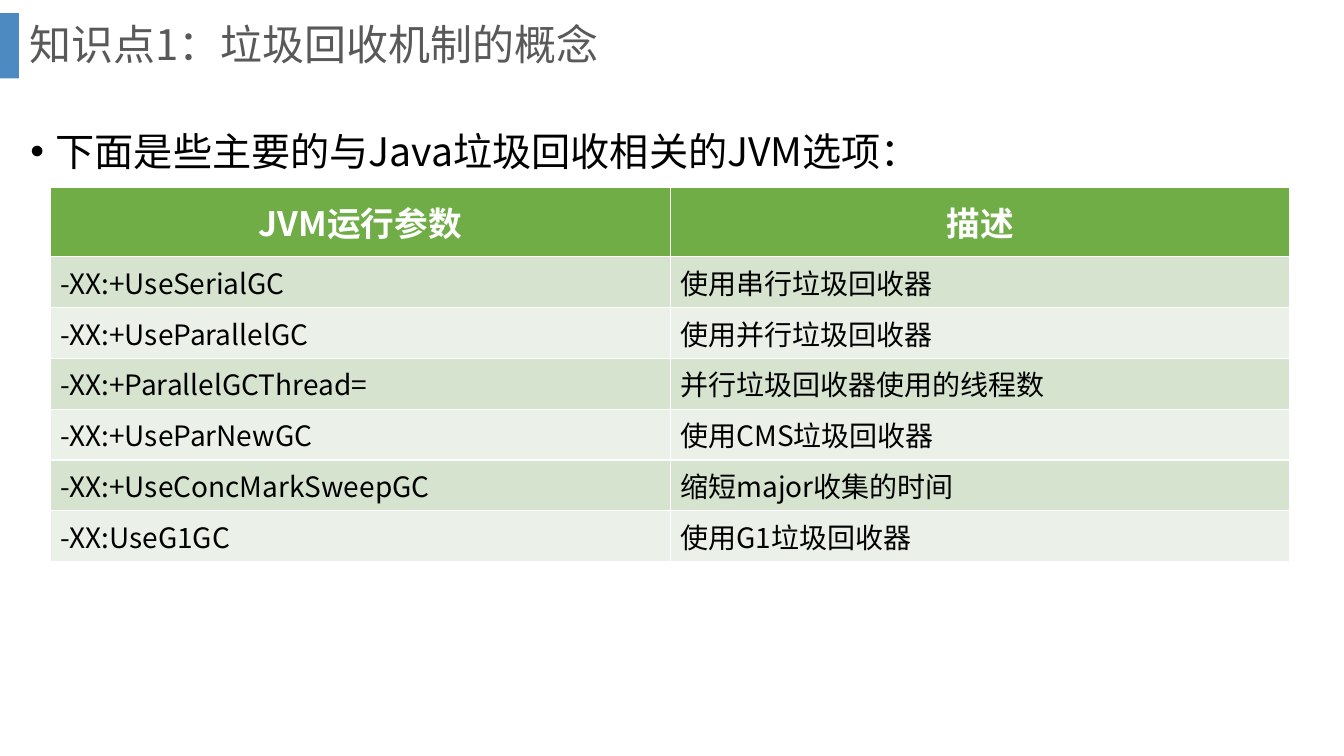
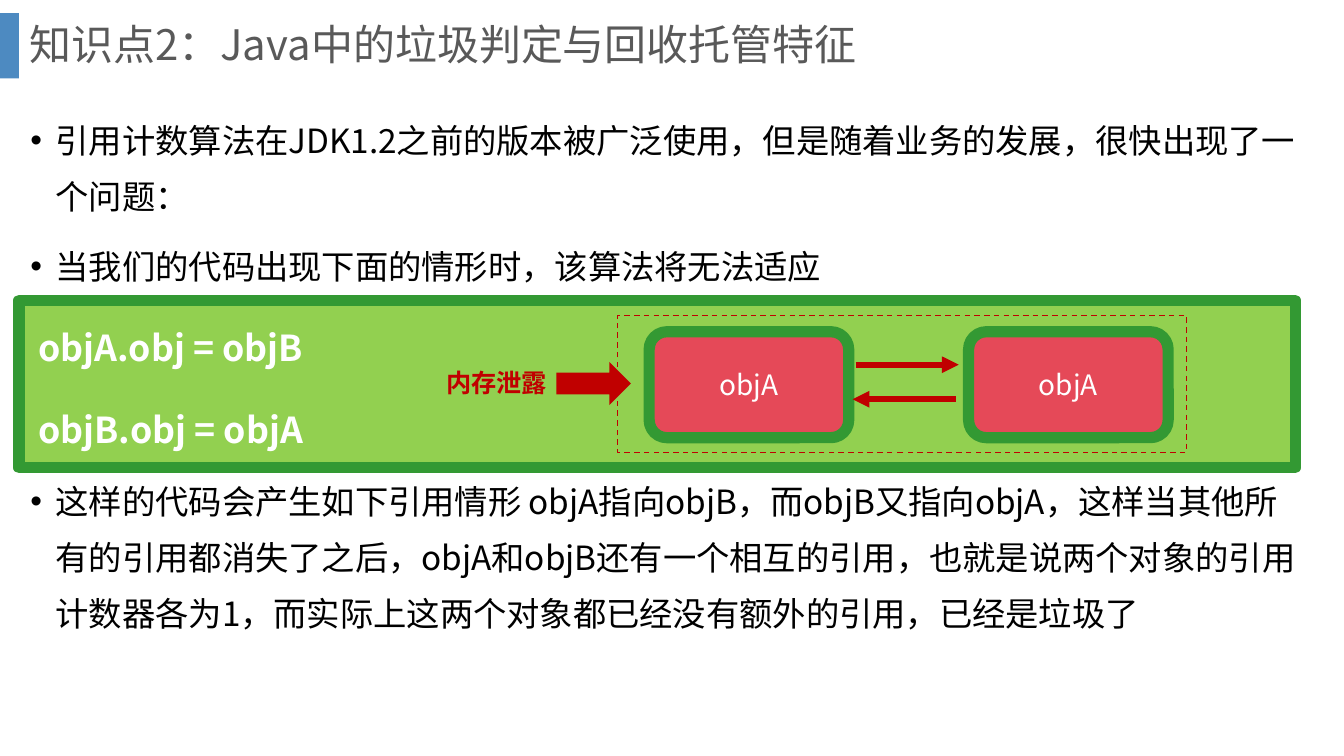
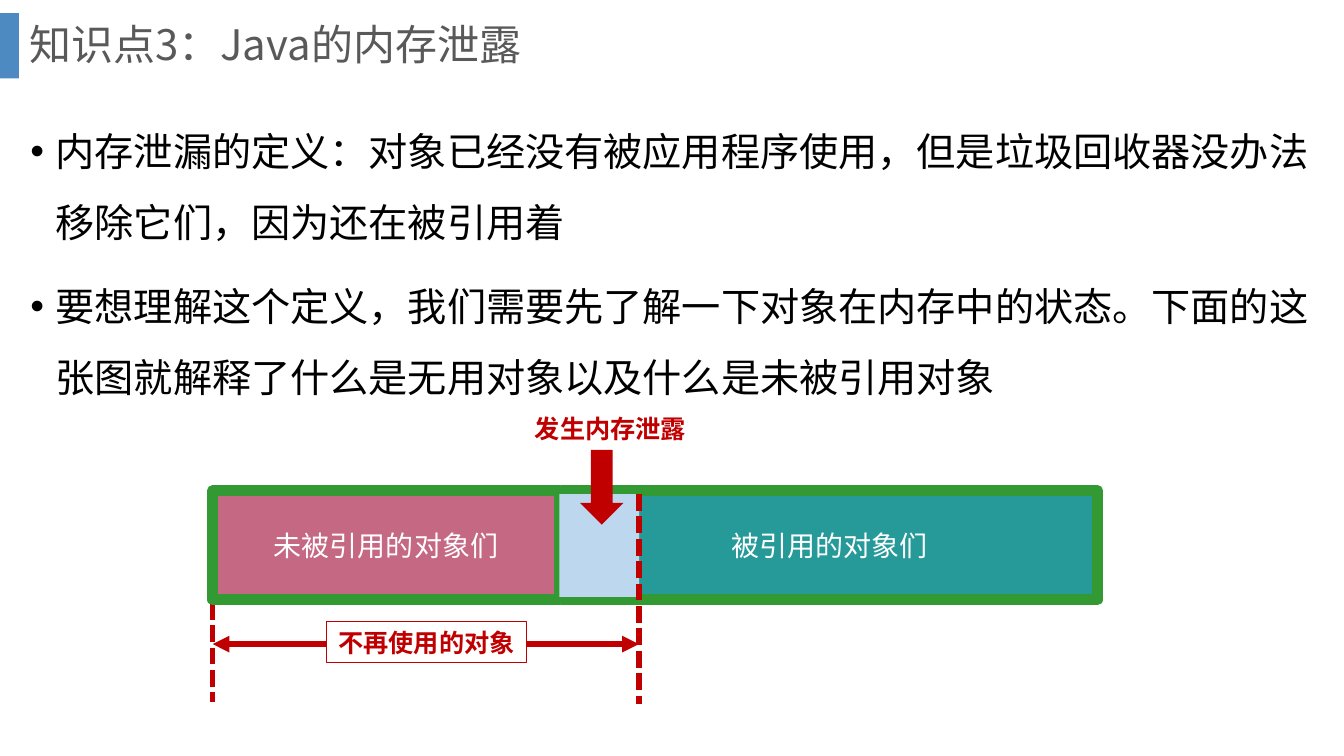
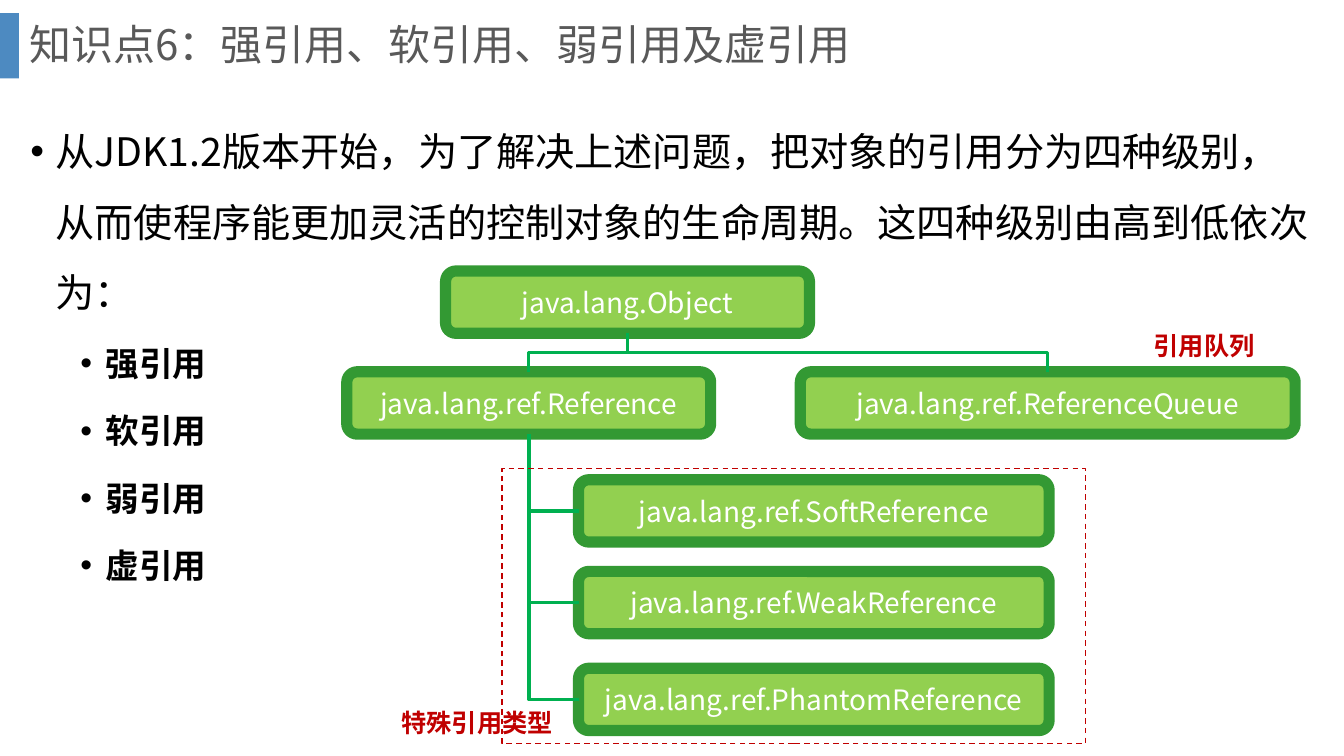
from lxml import etree
from pptx import Presentation
from pptx import util as u
from pptx.dml.color import RGBColor
from pptx.enum import dml, shapes, text
from pptx.oxml.ns import qn

COLORS = {
    "bar": "4D8AC1", "title": "595959", "ink": "000000", "white": "FFFFFF",
    "red": "C00000", "border": "339933", "lime": "92D050", "branch": "00B050",
    "coral": "E54958", "pink": "C56883", "teal": "269999", "sky": "BDD7EE",
    "header": "70AD47", "band": "D5E3CF", "pale": "EBF1E9",
}
FONT = "Noto Sans CJK SC"
SHAPE = shapes.MSO_SHAPE
LINK = shapes.MSO_CONNECTOR
DASH = dml.MSO_LINE
CENTER = text.PP_ALIGN.CENTER
MIDDLE = text.MSO_ANCHOR.MIDDLE


def write(frame, words, size=20, color="white", bold=False, align=text.PP_ALIGN.LEFT,
          spacing=1.0, before=0, level=0, margin=0, indent=0, bullet=False, anchor=None):
    frame.word_wrap = True
    if anchor is not None:
        frame.vertical_anchor = anchor
    para = frame.add_paragraph() if frame.text else frame.paragraphs[0]
    para.alignment, para.level = align, level
    para.line_spacing, para.space_before = spacing, u.Pt(before)
    props = para._p.get_or_add_pPr()
    props.set("marL", str(u.Cm(margin)))
    props.set("indent", str(u.Cm(indent)))
    if bullet:
        etree.SubElement(props, qn("a:buFont")).set("typeface", "Arial")
        etree.SubElement(props, qn("a:buChar")).set("char", "•")
    else:
        etree.SubElement(props, qn("a:buNone"))
    span = para.add_run()
    span.text = words
    span.font.name, span.font.size, span.font.bold = FONT, u.Pt(size), bold
    span.font.color.rgb = RGBColor.from_string(COLORS[color])
    etree.SubElement(span._r.get_or_add_rPr(), qn("a:ea")).set("typeface", FONT)


def draw(page, kind, place, fill=None, line=None, width=1, dash=None, ends=()):
    lengths = [u.Cm(value) for value in place]
    if kind is None:
        return page.shapes.add_textbox(*lengths)
    is_link = isinstance(kind, LINK)
    if is_link:
        item = page.shapes.add_connector(kind, *lengths)
    else:
        item = page.shapes.add_shape(kind, *lengths)
        item.shadow.inherit = False
        if fill:
            item.fill.solid()
            item.fill.fore_color.rgb = RGBColor.from_string(COLORS[fill])
        else:
            item.fill.background()
    if line:
        item.line.color.rgb = RGBColor.from_string(COLORS[line])
        item.line.width = u.Pt(width)
        if dash:
            item.line.dash_style = dash
    else:
        item.line.fill.background()
    if is_link:
        props = item.element.spPr
        for end in ends:
            etree.SubElement(props.find(qn("a:ln")), qn("a:" + end)).set("type", "triangle")
        etree.SubElement(props, qn("a:effectLst"))
    return item


deck = Presentation()
deck.slide_width, deck.slide_height = u.Cm(33.87), u.Cm(19.05)
layout = deck.slide_layouts[1]
for holder, place in zip(layout.placeholders, [(0.48, 0, 32.16, 2.36), (0.51, 2.49, 32.77, 15.14)]):
    holder.left, holder.top, holder.width, holder.height = [u.Cm(value) for value in place]

titles = [
    "知识点1：垃圾回收机制的概念",
    "知识点2：Java中的垃圾判定与回收托管特征",
    "知识点3：Java的内存泄露",
    "知识点6：强引用、软引用、弱引用及虚引用",
]
point = dict(size=28, color="ink", spacing=1.5, before=10, margin=0.64, indent=-0.64, bullet=True)
small_point = dict(point, size=23.8, spacing=1.4)
code = dict(size=25.5, bold=True, spacing=1.6, before=10, level=1, margin=0.2)
sub_point = dict(point, size=24, bold=True, before=5, level=1, margin=1.9)
bodies = [
    [("下面是些主要的与Java垃圾回收相关的JVM选项：", point)],
    [
        ("引用计数算法在JDK1.2之前的版本被广泛使用，但是随着业务的发展，很快出现了一个问题：", small_point),
        ("当我们的代码出现下面的情形时，该算法将无法适应", small_point),
        ("objA.obj = objB", code),
        ("objB.obj = objA", code),
        ("这样的代码会产生如下引用情形 objA指向objB，而objB又指向objA，这样当其他所有的引用都消失了之后，"
         "objA和objB还有一个相互的引用，也就是说两个对象的引用计数器各为1，"
         "而实际上这两个对象都已经没有额外的引用，已经是垃圾了", small_point),
    ],
    [
        ("内存泄漏的定义：对象已经没有被应用程序使用，但是垃圾回收器没办法移除它们，因为还在被引用着", point),
        ("要想理解这个定义，我们需要先了解一下对象在内存中的状态。"
         "下面的这张图就解释了什么是无用对象以及什么是未被引用对象", point),
    ],
    [
        ("从JDK1.2版本开始，为了解决上述问题，把对象的引用分为四种级别，"
         "从而使程序能更加灵活的控制对象的生命周期。这四种级别由高到低依次为：", point),
        ("强引用", sub_point),
        ("软引用", sub_point),
        ("弱引用", sub_point),
        ("虚引用", sub_point),
    ],
]
pages = []
for title, body in zip(titles, bodies):
    page = deck.slides.add_slide(layout)
    pages.append(page)
    for holder in page.placeholders:
        holder.text_frame.auto_size = text.MSO_AUTO_SIZE.NONE
    write(page.shapes.title.text_frame, title, size=30, color="title", spacing=0.9, anchor=MIDDLE)
    for words, style in body:
        write(page.placeholders[1].text_frame, words, **style)
options_page, counting_page, leak_page, reference_page = pages

bar = draw(options_page, SHAPE.RECTANGLE, (0, 0.33, 0.48, 1.65), fill="bar")
layout.shapes.element.insert(2, bar.element)

rows = [
    ("JVM运行参数", "描述"),
    ("-XX:+UseSerialGC", "使用串行垃圾回收器"),
    ("-XX:+UseParallelGC", "使用并行垃圾回收器"),
    ("-XX:+ParallelGCThread=", "并行垃圾回收器使用的线程数"),
    ("-XX:+UseParNewGC", "使用CMS垃圾回收器"),
    ("-XX:+UseConcMarkSweepGC", "缩短major收集的时间"),
    ("-XX:UseG1GC", "使用G1垃圾回收器"),
]
table = options_page.shapes.add_table(
    len(rows), 2, u.Cm(1.27), u.Cm(4.72), u.Cm(31.24), u.Cm(9.43)).table
head_style = dict(size=24, bold=True, align=CENTER)
for r, row in enumerate(rows):
    table.rows[r].height = u.Cm(1.28 if r else 1.75)
    for c, words in enumerate(row):
        cell = table.cell(r, c)
        cell.fill.solid()
        shade = ("band" if r % 2 else "pale") if r else "header"
        cell.fill.fore_color.rgb = RGBColor.from_string(COLORS[shade])
        cell.vertical_anchor = text.MSO_ANCHOR.TOP if r else MIDDLE
        write(cell.text_frame, words, **(dict(color="ink") if r else head_style))

frame_line = dict(line="border", width=8)
dashed = dict(line="red", width=1, dash=DASH.DASH)
red_line = dict(line="red", width=4)
centered = dict(align=CENTER, anchor=MIDDLE)
label = dict(size=18, color="red", bold=True)

panel = draw(counting_page, SHAPE.RECTANGLE, (0.48, 7.57, 32.16, 4.22), fill="lime", **frame_line)
counting_page.shapes.element.insert(2, panel.element)
for left in (16.36, 24.41):
    box = draw(counting_page, SHAPE.ROUNDED_RECTANGLE, (left, 8.36, 5.03, 2.67), fill="coral", **frame_line)
    write(box.text_frame, "objA", **centered)
for place in [(21.56, 9.19, 24.16, 9.19), (24.08, 10.06, 21.49, 10.06)]:
    draw(counting_page, LINK.STRAIGHT, place, ends=["tailEnd"], **red_line)
draw(counting_page, SHAPE.RECTANGLE, (15.57, 7.95, 14.33, 3.45), **dashed)
draw(counting_page, SHAPE.RIGHT_ARROW, (14.02, 9.12, 1.88, 1.09), fill="red")
box = draw(counting_page, None, (11, 9.12, 3.4, 1.02))
write(box.text_frame, "内存泄露", **label)

draw(leak_page, LINK.STRAIGHT, (5.36, 12.37, 5.36, 17.68), dash=DASH.SQUARE_DOT, **red_line)
for left, width, fill, words in [
    (5.36, 8.74, "pink", "未被引用的对象们"),
    (14.15, 13.51, "teal", "被引用的对象们"),
]:
    box = draw(leak_page, SHAPE.RECTANGLE, (left, 12.37, width, 2.74), fill=fill, **frame_line)
    write(box.text_frame, words, **centered)
draw(leak_page, LINK.STRAIGHT, (5.36, 16.23, 16.1, 16.23), ends=["headEnd", "tailEnd"], **red_line)
box = draw(leak_page, SHAPE.RECTANGLE, (8.23, 15.67, 5.04, 1.02), fill="white", line="red", width=0.75)
write(box.text_frame, "不再使用的对象", **label, **centered)
draw(leak_page, SHAPE.RECTANGLE, (14.1, 12.45, 2.01, 2.59), fill="sky")
box = draw(leak_page, None, (13.23, 10.29, 4.45, 1.02))
write(box.text_frame, "发生内存泄露", **label)
draw(leak_page, SHAPE.DOWN_ARROW, (14.62, 11.34, 1.09, 1.88), fill="red")
draw(leak_page, LINK.STRAIGHT, (16.1, 12.45, 16.1, 17.75), dash=DASH.SQUARE_DOT, **red_line)

classes = {}
for name, left, top, width in [
    ("Object", 11.23, 6.83, 9.17),
    ("ref.Reference", 8.74, 9.37, 9.17),
    ("ref.ReferenceQueue", 20.17, 9.37, 12.47),
    ("ref.SoftReference", 14.58, 12.09, 11.86),
    ("ref.WeakReference", 14.58, 14.4, 11.86),
    ("ref.PhantomReference", 14.58, 16.84, 11.86),
]:
    box = draw(reference_page, SHAPE.ROUNDED_RECTANGLE, (left, top, width, 1.57), fill="lime", **frame_line)
    write(box.text_frame, "java.lang." + name, **centered)
    classes[name] = box

for parent, child, side in [
    ("Object", "ref.Reference", 0),
    ("Object", "ref.ReferenceQueue", 0),
    ("ref.Reference", "ref.SoftReference", 1),
    ("ref.Reference", "ref.WeakReference", 1),
    ("ref.Reference", "ref.PhantomReference", 1),
]:
    branch = draw(reference_page, LINK.ELBOW, (0, 0, 1, 1), line="branch", width=2.5)
    branch.begin_connect(classes[parent], 2)
    branch.end_connect(classes[child], side)
    across = branch.end_x - branch.begin_x
    down = branch.end_y - branch.begin_y
    middle_x = (branch.begin_x + branch.end_x) // 2
    middle_y = (branch.begin_y + branch.end_y) // 2
    branch.width, branch.height = down, abs(across)
    branch.left, branch.top = middle_x - down // 2, middle_y - abs(across) // 2
    outline = branch.element.spPr
    turn = outline.find(qn("a:xfrm"))
    turn.set("rot", str((270 if across > 0 else 90) * 60000))
    turn.set("flipH", str(int(across > 0)))
    turn.set("flipV", "0")
    if side == 1:
        outline.find(qn("a:prstGeom")).set("prst", "bentConnector2")

draw(reference_page, SHAPE.RECTANGLE, (12.65, 11.81, 14.71, 6.93), **dashed)
for words, left, top in [("特殊引用类型", 9.47, 17.7), ("引用队列", 27.79, 8.2)]:
    box = draw(reference_page, None, (left, top, 5.11, 1.02))
    write(box.text_frame, words, align=CENTER, **label)

deck.save("out.pptx")
